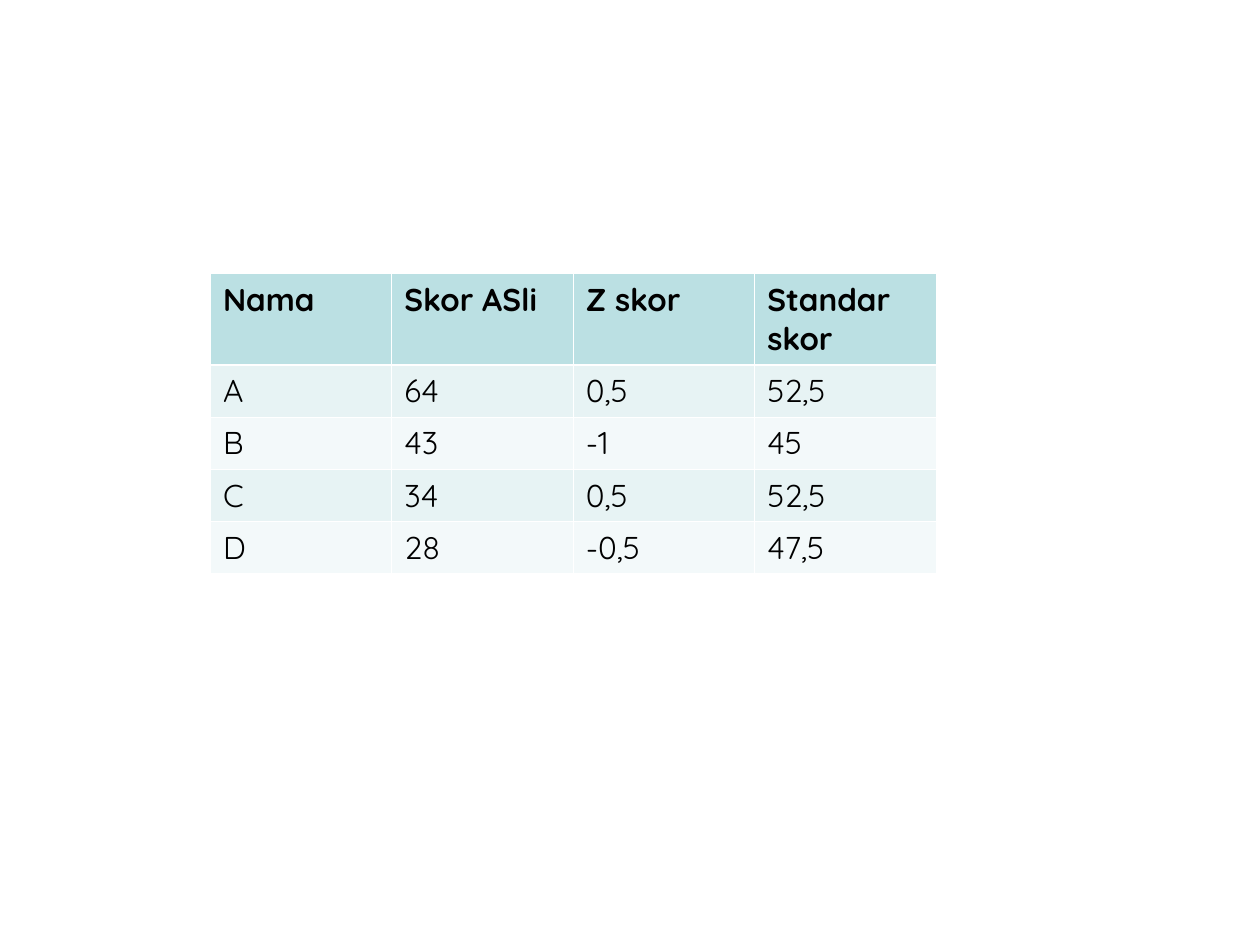
from dataclasses import dataclass

from lxml import etree
from pptx import Presentation
from pptx.dml.color import RGBColor
from pptx.oxml.ns import qn
from pptx.slide import Slide
from pptx.table import _Cell
from pptx.util import Inches, Pt

BLANK_LAYOUT = 6


@dataclass(frozen=True)
class Theme:
    font: str = "Quicksand"
    size: float = 18
    text: str = "000000"
    header: str = "BBE0E3"
    bands: tuple[str, str] = ("E7F3F4", "F3F9FA")
    border: str = "FFFFFF"
    thin: float = 0.45
    thick: float = 1.47


@dataclass(frozen=True)
class Score:
    name: str
    raw: str
    z: str
    standard: str

    def values(self) -> tuple[str, ...]:
        return self.name, self.raw, self.z, self.standard


THEME = Theme()
HEADINGS = ("Nama", "Skor ASli", "Z skor", "Standar skor")
SCORES = (
    Score("A", "64", "0,5", "52,5"),
    Score("B", "43", "-1", "45"),
    Score("C", "34", "0,5", "52,5"),
    Score("D", "28", "-0,5", "47,5"),
)
LEFT, TOP = 1.67, 2.17
COLUMN_WIDTH, HEADER_HEIGHT, SCORE_HEIGHT = 1.44, 0.7, 0.41


def add_border(cell: _Cell, edge: str, points: float) -> None:
    properties = cell._tc.get_or_add_tcPr()
    line = etree.SubElement(properties, qn(f"a:{edge}"), w=str(Pt(points)))
    fill = etree.SubElement(line, qn("a:solidFill"))
    etree.SubElement(fill, qn("a:srgbClr"), val=THEME.border)


def format_cell(cell: _Cell, content: str, row: int) -> None:
    is_header = row == 0
    above = THEME.thick if row == 1 else THEME.thin
    below = THEME.thick if is_header else THEME.thin
    edges = {"lnL": THEME.thin, "lnR": THEME.thin, "lnT": above, "lnB": below}
    for edge, points in edges.items():
        add_border(cell, edge, points)
    cell.fill.solid()
    background = THEME.header if is_header else THEME.bands[(row - 1) % 2]
    cell.fill.fore_color.rgb = RGBColor.from_string(background)
    cell.text_frame.text = content
    font = cell.text_frame.paragraphs[0].runs[0].font
    font.name = THEME.font
    font.size = Pt(THEME.size)
    font.bold = is_header
    font.color.rgb = RGBColor.from_string(THEME.text)


def add_score_table(slide: Slide) -> None:
    rows = (HEADINGS, *(score.values() for score in SCORES))
    width = COLUMN_WIDTH * len(HEADINGS)
    height = HEADER_HEIGHT + SCORE_HEIGHT * len(SCORES)
    table = slide.shapes.add_table(
        len(rows), len(HEADINGS),
        Inches(LEFT), Inches(TOP), Inches(width), Inches(height),
    ).table
    for column in table.columns:
        column.width = Inches(COLUMN_WIDTH)
    for row, values in enumerate(rows):
        table.rows[row].height = Inches(SCORE_HEIGHT if row else HEADER_HEIGHT)
        for column, content in enumerate(values):
            format_cell(table.cell(row, column), content, row)


def main() -> None:
    presentation = Presentation()
    presentation.slide_width = Inches(10)
    presentation.slide_height = Inches(7.5)
    slide = presentation.slides.add_slide(presentation.slide_layouts[BLANK_LAYOUT])
    add_score_table(slide)
    presentation.save("out.pptx")


if __name__ == "__main__":
    main()
